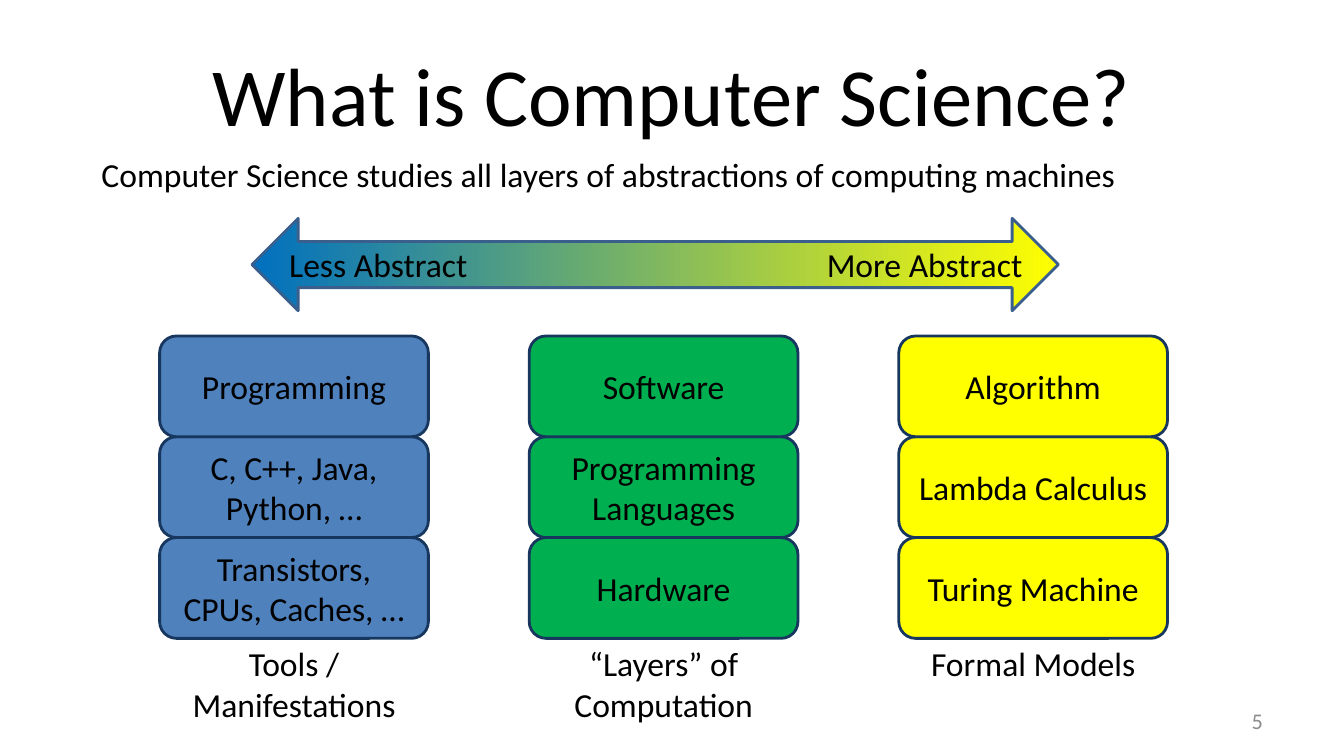
from dataclasses import dataclass
from typing import NamedTuple

from lxml import etree
from pptx import Presentation
from pptx import util as u
from pptx.dml.color import RGBColor
from pptx.enum import shapes, text
from pptx.oxml import ns

COLUMNS, ROWS = 160, 90
CELL = u.Inches(1 / 12)


@dataclass(frozen=True)
class Theme:
    """Colours, font and type sizes of the slide."""
    font: str = "Calibri"
    ink: str = "000000"
    muted: str = "8C8C8C"
    layer_edge: str = "17375E"
    arrow_edge: str = "3A5F8C"
    less_abstract: str = "0070C0"
    more_abstract: str = "FFFF00"
    title: int = 59
    body: int = 24
    number: int = 16
    edge_width: int = 2


class Box(NamedTuple):
    """A region in grid columns and rows."""
    left: float
    top: float
    width: float
    height: float

    def emu(self):
        """Return the region in slide units."""
        return [round(length * CELL) for length in self]


THEME = Theme()
ROOMY = dict(margin_left=u.Inches(0.13), margin_right=u.Inches(0.13),
             margin_top=u.Inches(0.07), margin_bottom=u.Inches(0.07),
             vertical_anchor=text.MSO_ANCHOR.MIDDLE)
STACKS = [
    ("4F81BD", ["Programming", "C, C++, Java, Python, …", "Transistors, CPUs, Caches, …"],
     "Tools / Manifestations"),
    ("00B050", ["Software", "Programming Languages", "Hardware"],
     "“Layers” of Computation"),
    ("FFFF00", ["Algorithm", "Lambda Calculus", "Turing Machine"],
     "Formal Models"),
]


def apply(target, values):
    """Set each named attribute on the target."""
    for name, value in values.items():
        setattr(target, name, value)


def write(shape, words, size=THEME.body, color=THEME.ink,
          align=text.PP_ALIGN.CENTER, **frame_format):
    """Fill a shape with one formatted paragraph and return it."""
    frame = shape.text_frame
    apply(frame, dict(word_wrap=True) | frame_format)
    paragraph = frame.paragraphs[0]
    paragraph.alignment = align
    run = paragraph.add_run()
    run.text = words
    apply(run.font, dict(name=THEME.font, size=u.Pt(size)))
    run.font.color.rgb = RGBColor.from_string(color)
    return paragraph


def outline(shape, color):
    """Give a shape a plain edge without shadow."""
    shape.shadow.inherit = False
    shape.line.width = u.Pt(THEME.edge_width)
    shape.line.color.rgb = RGBColor.from_string(color)


def add_label(slide, box, words, **style):
    """Place a text box in the given region."""
    write(slide.shapes.add_textbox(*box.emu()), words, **style)


def add_abstraction_arrow(slide, box):
    """Place the gradient arrow with a label at each end."""
    arrow = slide.shapes.add_shape(shapes.MSO_SHAPE.LEFT_RIGHT_ARROW, *box.emu())
    outline(arrow, THEME.arrow_edge)
    arrow.fill.gradient()
    arrow.fill.gradient_angle = 0
    ends = (THEME.less_abstract, THEME.more_abstract)
    for stop, (position, color) in zip(arrow.fill.gradient_stops, enumerate(ends)):
        stop.position = position
        stop.color.rgb = RGBColor.from_string(color)
    scale = write(arrow, "Less Abstract\tMore Abstract", align=text.PP_ALIGN.LEFT,
                  margin_left=u.Inches(0.14), margin_right=0,
                  vertical_anchor=text.MSO_ANCHOR.MIDDLE)
    tabs = etree.SubElement(scale._p.get_or_add_pPr(), ns.qn("a:tabLst"))
    more_abstract_start = round(box.width * 2 / 3 * CELL)
    etree.SubElement(tabs, ns.qn("a:tab"), pos=str(more_abstract_start), algn="l")


def add_stack(slide, box, color, layers, caption):
    """Place one column of layers with its caption underneath."""
    stack = slide.shapes.add_group_shape()
    caption_height, caption_inset = 11, 2.25
    layer_height = (box.height - caption_height) / len(layers)
    for row, words in reversed(list(enumerate(layers))):
        place = Box(box.left, box.top + row * layer_height, box.width, layer_height)
        layer = stack.shapes.add_shape(shapes.MSO_SHAPE.ROUNDED_RECTANGLE, *place.emu())
        outline(layer, THEME.layer_edge)
        layer.fill.solid()
        layer.fill.fore_color.rgb = RGBColor.from_string(color)
        write(layer, words, vertical_anchor=text.MSO_ANCHOR.MIDDLE)
    add_label(slide, Box(box.left + caption_inset, box.top + box.height - caption_height,
                         box.width - 2 * caption_inset, caption_height), caption)


def add_stacks(slide, box):
    """Spread the stacks evenly over the given region."""
    stack_width = 32
    pitch = (box.width - stack_width) / (len(STACKS) - 1)
    for column, stack in enumerate(STACKS):
        place = Box(box.left + column * pitch, box.top, stack_width, box.height)
        add_stack(slide, place, *stack)


def build_slide(slide):
    """Lay out all regions of the slide."""
    add_label(slide, Box(8, 3.6, 144, 15), "What is Computer Science?",
              size=THEME.title, **ROOMY)
    add_label(slide, Box(114.6, 83.4, 37.3, 4.8), "5", size=THEME.number,
              color=THEME.muted, align=text.PP_ALIGN.RIGHT, **ROOMY)
    add_stacks(slide, Box(19, 40, 120, 47))
    add_label(slide, Box(10.9, 17.7, 124.2, 6),
              "Computer Science studies all layers of abstractions of computing machines",
              align=text.PP_ALIGN.LEFT, word_wrap=False)
    add_abstraction_arrow(slide, Box(30, 26, 96, 11))


def main():
    """Build and save the presentation."""
    deck = Presentation()
    apply(deck, dict(slide_width=COLUMNS * CELL, slide_height=ROWS * CELL))
    build_slide(deck.slides.add_slide(deck.slide_layouts[6]))
    deck.save("out.pptx")


if __name__ == "__main__":
    main()
